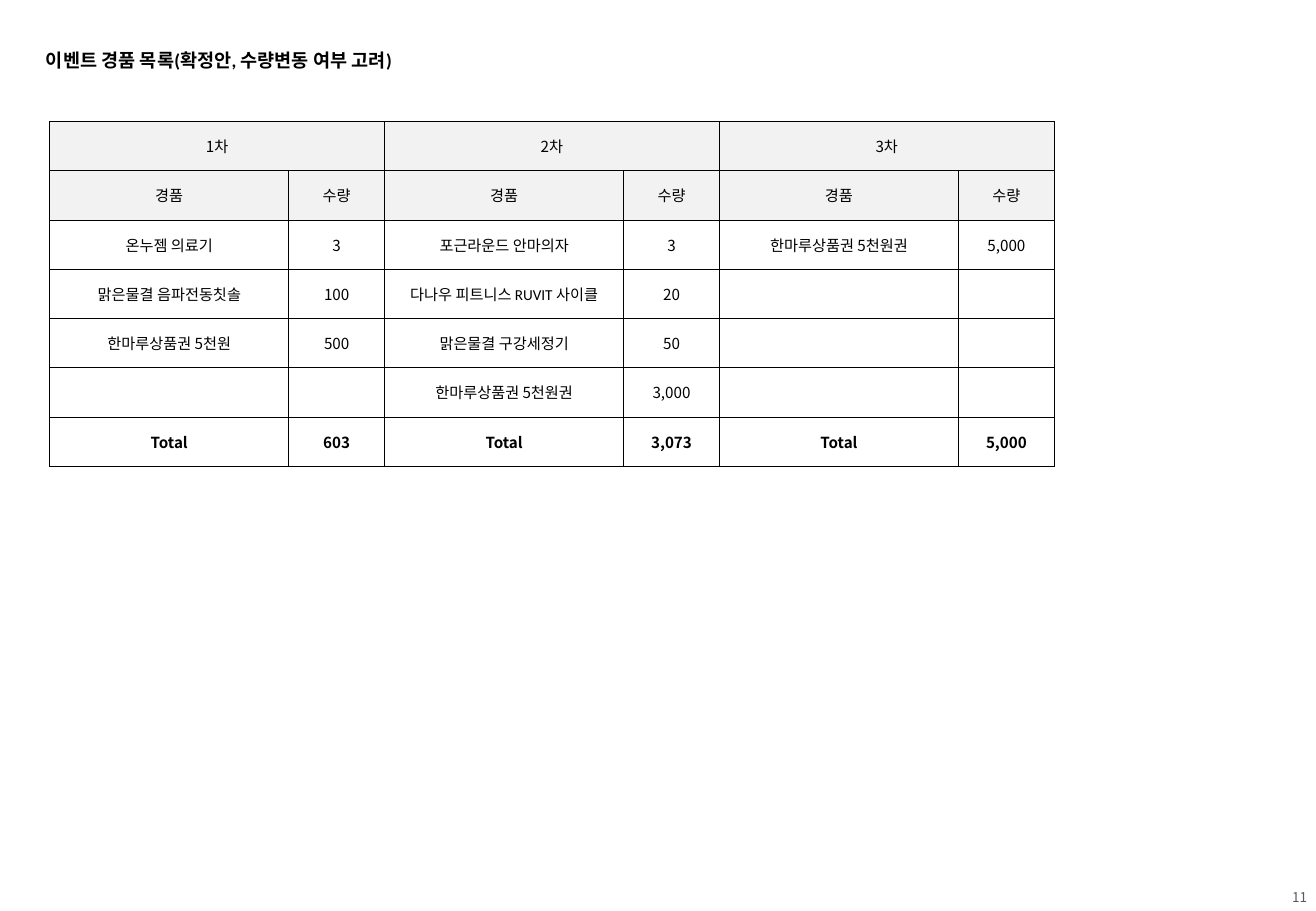
from dataclasses import dataclass

from lxml.etree import SubElement
from pptx import Presentation
from pptx.dml.color import RGBColor
from pptx.enum.text import MSO_ANCHOR, MSO_AUTO_SIZE, PP_ALIGN
from pptx.oxml.ns import qn
from pptx.util import Pt


@dataclass(frozen=True)
class Theme:
    black: str = "000000"
    white: str = "FFFFFF"
    header: str = "F2F2F2"
    grey: str = "595959"
    latin: str = "Calibri"
    korean: str = "Noto Sans CJK KR"
    title_size: float = 11
    cell_size: float = 9
    number_size: float = 8
    border: float = 0.5


theme = Theme()


def style(p, size, color, latin, bold, align):
    p.alignment = align
    for r in p.runs:
        r.font.size = Pt(size)
        r.font.bold = bold
        r.font.name = latin
        r.font.color.rgb = RGBColor.from_string(color)
        SubElement(r.font._element, qn("a:ea"), typeface=theme.korean)


def add_borders(cell):
    tcPr = cell._tc.get_or_add_tcPr()
    for side in ("a:lnL", "a:lnR", "a:lnT", "a:lnB"):
        ln = SubElement(tcPr, qn(side), w=str(Pt(theme.border)))
        SubElement(SubElement(ln, qn("a:solidFill")), qn("a:srgbClr"), val=theme.black)


prs = Presentation()
prs.slide_width, prs.slide_height = Pt(780), Pt(540)
s = prs.slides.add_slide(prs.slide_layouts[5])

# Title
title = s.shapes.title
title.left, title.top, title.width, title.height = Pt(20), Pt(25.2), Pt(243), Pt(21)
tf = title.text_frame
tf.text = "이벤트 경품 목록(확정안, 수량변동 여부 고려)"
tf.word_wrap = False
tf.auto_size = MSO_AUTO_SIZE.SHAPE_TO_FIT_TEXT
tf.vertical_anchor = MSO_ANCHOR.TOP
style(tf.paragraphs[0], theme.title_size, theme.black, theme.latin, True, PP_ALIGN.LEFT)

# Prize table
rows = [
    ["1차", "", "2차", "", "3차", ""],
    ["경품", "수량"] * 3,
    ["온누젬 의료기", "3", "포근라운드 안마의자", "3", "한마루상품권 5천원권", "5,000"],
    ["맑은물결 음파전동칫솔", "100", "다나우 피트니스 RUVIT 사이클", "20", "", ""],
    ["한마루상품권 5천원", "500", "맑은물결 구강세정기", "50", "", ""],
    ["", "", "한마루상품권 5천원권", "3,000", "", ""],
    ["Total", "603", "Total", "3,073", "Total", "5,000"],
]
header_rows = 2
prize_width, count_width, row_height = 141.8, 56.7, 29.2
table = s.shapes.add_table(
    len(rows), len(rows[0]), Pt(29.4), Pt(72),
    Pt(3 * (prize_width + count_width)), Pt(len(rows) * row_height),
).table
for i, column in enumerate(table.columns):
    column.width = Pt(count_width if i % 2 else prize_width)

for i, row in enumerate(rows):
    table.rows[i].height = Pt(row_height)
    for j, text in enumerate(row):
        cell = table.cell(i, j)
        add_borders(cell)
        cell.fill.solid()
        cell.fill.fore_color.rgb = RGBColor.from_string(
            theme.header if i < header_rows else theme.white)
        cell.vertical_anchor = MSO_ANCHOR.MIDDLE
        cell.margin_top = cell.margin_bottom = 0
        cell.text = text
        latin = theme.latin if "RUVIT" in text else theme.korean
        style(cell.text_frame.paragraphs[0], theme.cell_size, theme.black, latin,
              i == len(rows) - 1, PP_ALIGN.CENTER)

# Each round heading spans its prize and count columns
for j in range(0, len(rows[0]), 2):
    table.cell(0, j).merge(table.cell(0, j + 1))

# Page number
number = s.shapes.add_textbox(Pt(727.2), Pt(523.4), Pt(54.7), Pt(17.3))
tf = number.text_frame
tf.text = "11"
tf.word_wrap = True
tf.vertical_anchor = MSO_ANCHOR.MIDDLE
style(tf.paragraphs[0], theme.number_size, theme.grey, theme.korean, False, PP_ALIGN.RIGHT)

prs.save("out.pptx")
